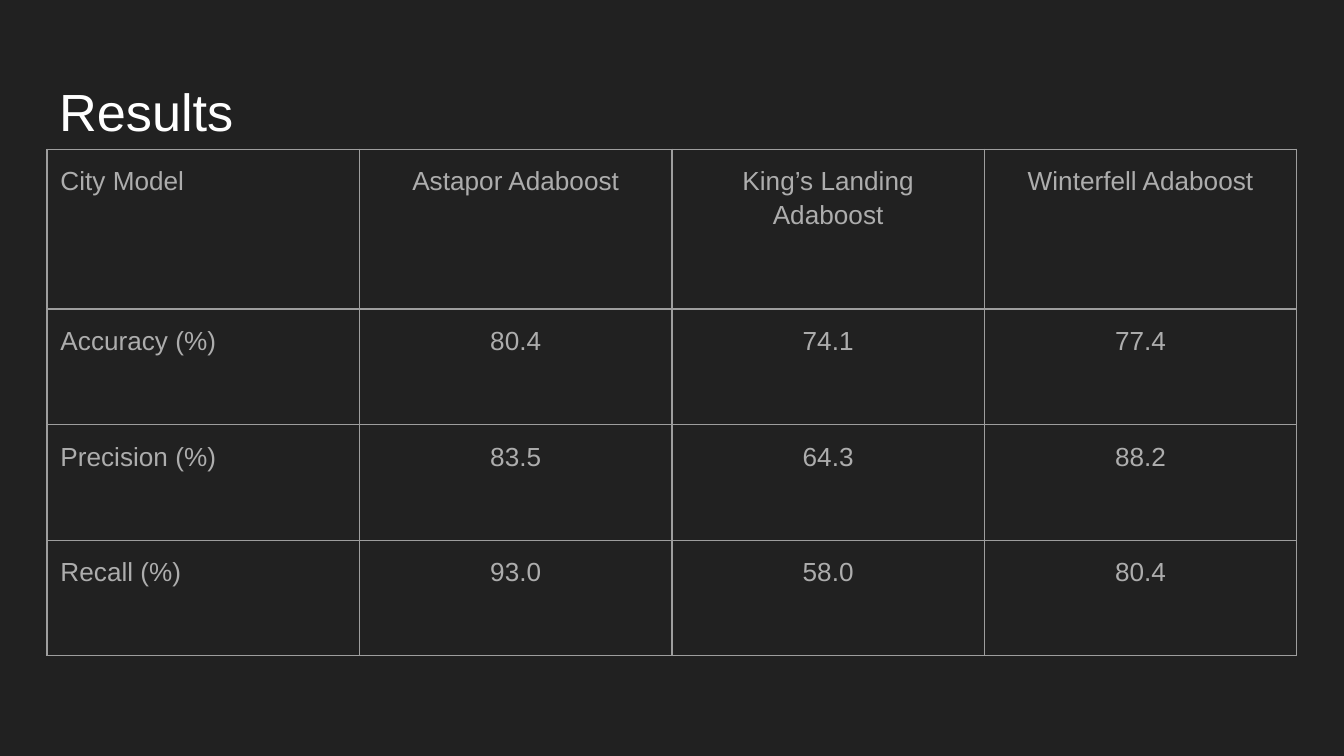
from lxml.etree import SubElement
from pptx import Presentation
from pptx.dml.color import RGBColor
from pptx.enum.text import MSO_ANCHOR, PP_ALIGN
from pptx.oxml.ns import qn
from pptx.util import Inches, Pt

TITLE = "Results"
ROWS = [
    ("City Model", "Astapor Adaboost", "King’s Landing Adaboost", "Winterfell Adaboost"),
    ("Accuracy (%)", "80.4", "74.1", "77.4"),
    ("Precision (%)", "83.5", "64.3", "88.2"),
    ("Recall (%)", "93.0", "58.0", "80.4"),
]
HEAD = Inches(1.19)
WIDE = Inches(10)
TALL = WIDE * 9 // 16
LEFT, TOP = Inches(0.35), Inches(1.11)
DARK = RGBColor(0x21, 0x21, 0x21)
WHITE = RGBColor(0xFF, 0xFF, 0xFF)
GREY = RGBColor(0xAD, 0xAD, 0xAD)
LINE = RGBColor(0x9E, 0x9E, 0x9E)


def write(frame, text, size, color, align=PP_ALIGN.LEFT, space=1.0, after=0):
    para = frame.paragraphs[0]
    para.alignment = align
    para.line_spacing = space
    para.space_before = Pt(0)
    para.space_after = Pt(after)
    run = para.add_run()
    run.text = text
    run.font.name = "Arial"
    run.font.size = Pt(size)
    run.font.color.rgb = color


def inset(box):
    box.margin_left = box.margin_right = Inches(0.1)
    box.margin_top = box.margin_bottom = Inches(0.1)
    box.vertical_anchor = MSO_ANCHOR.TOP


def border(cell):
    props = cell._tc.get_or_add_tcPr()
    for i, side in enumerate(("lnL", "lnR", "lnT", "lnB")):
        edge = props.makeelement(qn(f"a:{side}"), {"w": str(Pt(0.75))})
        fill = SubElement(edge, qn("a:solidFill"))
        SubElement(fill, qn("a:srgbClr"), val=str(LINE))
        props.insert(i, edge)


def main():
    deck = Presentation()
    deck.slide_width, deck.slide_height = WIDE, TALL
    slide = deck.slides.add_slide(deck.slide_layouts[5])
    slide.background.fill.solid()
    slide.background.fill.fore_color.rgb = DARK

    title = slide.shapes.title
    title.left, title.top = Inches(0.34), Inches(0.49)
    title.width, title.height = Inches(9.32), Inches(0.63)
    inset(title.text_frame)
    write(title.text_frame, TITLE, 28, WHITE)

    count = len(ROWS[0])
    width = (WIDE - 2 * LEFT) // count
    heights = [HEAD] + [Inches(0.86)] * (len(ROWS) - 1)
    table = slide.shapes.add_table(
        len(ROWS), count, LEFT, TOP, width * count, sum(heights)).table
    table.first_row = table.horz_banding = False
    for col in table.columns:
        col.width = width
    for r, (row, height) in enumerate(zip(ROWS, heights)):
        table.rows[r].height = height
        for c, text in enumerate(row):
            cell = table.cell(r, c)
            cell.fill.background()
            inset(cell)
            border(cell)
            write(cell.text_frame, text, 14, GREY, space=1.15, after=16,
                  align=PP_ALIGN.CENTER if c else PP_ALIGN.LEFT)

    deck.save("out.pptx")


if __name__ == "__main__":
    main()
